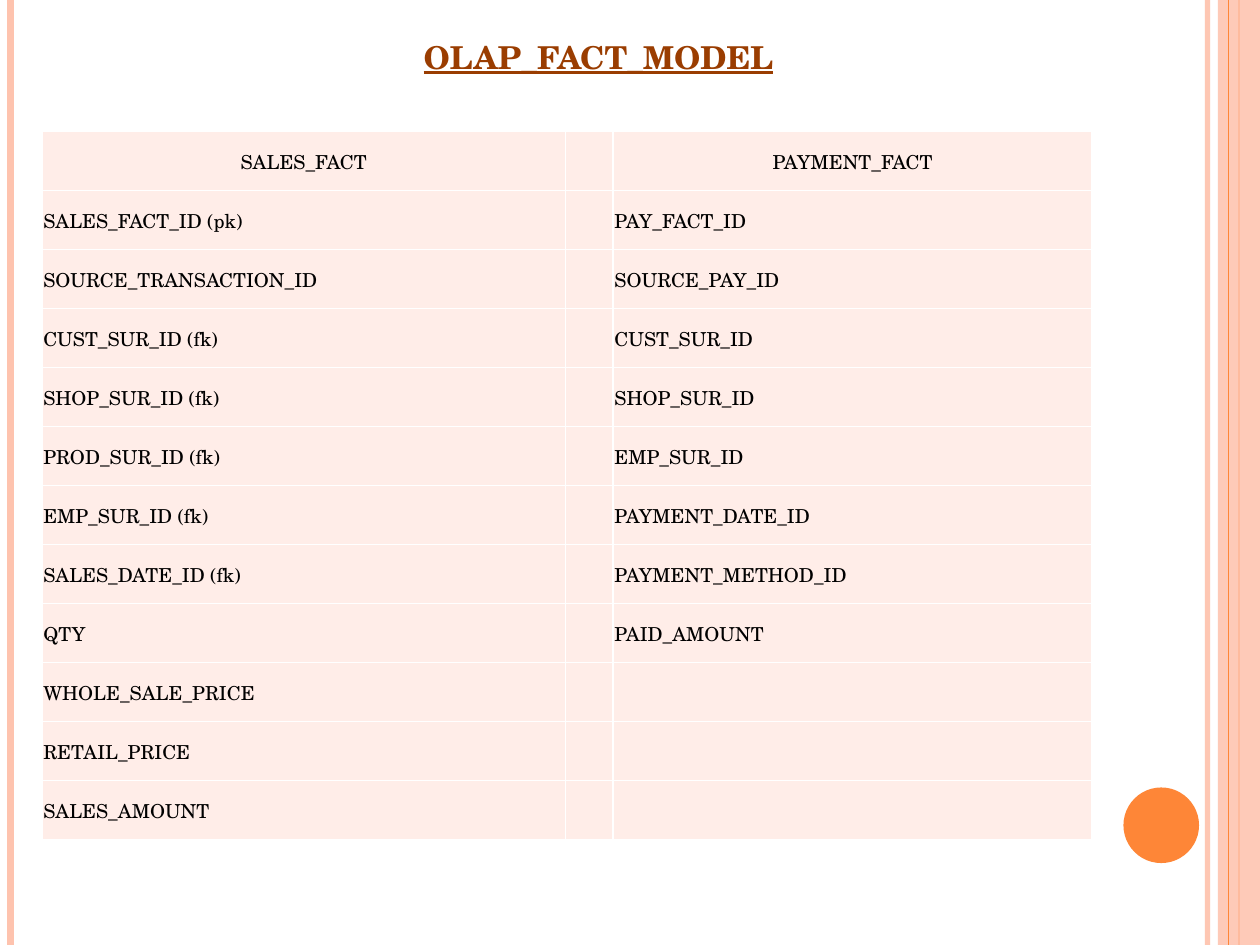
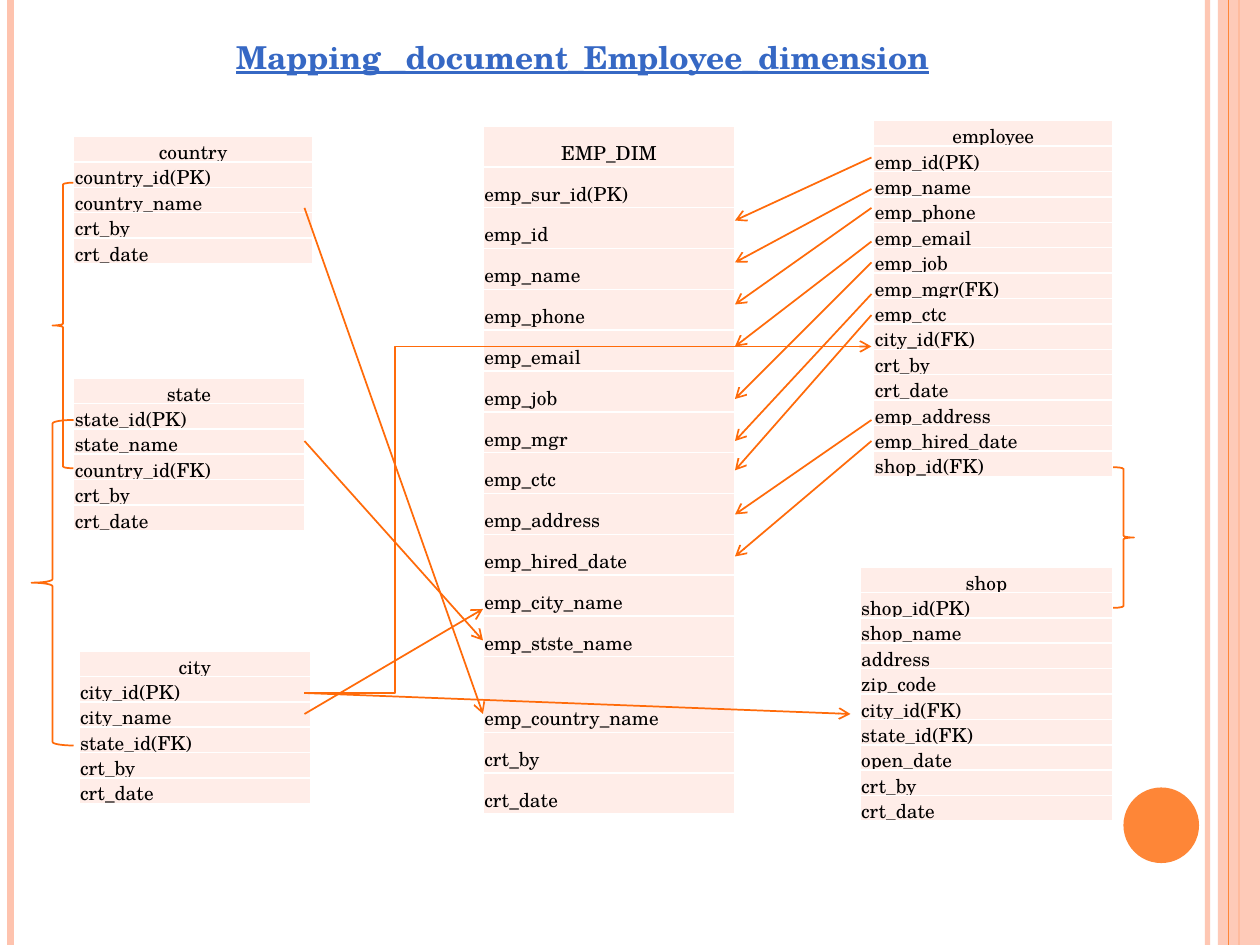
from lxml.etree import SubElement
from pptx import Presentation
from pptx.dml.color import RGBColor
from pptx.enum.shapes import MSO_CONNECTOR, MSO_SHAPE
from pptx.enum.text import MSO_ANCHOR, PP_ALIGN
from pptx.oxml.ns import qn
from pptx.util import Inches, Pt

FONT = "TeX Gyre Schola"
ORANGE, PEACH, LINK = "FE8637", "FEC3AE", "FF6B0A"
CELL, WHITE, BLACK = "FFEDE8", "FFFFFF", "000000"
BROWN, BLUE = "9A3D01", "3668C4"
COLS, ROWS = 120, 90
LINE_ROW, DIM_ROW = 2.42, 3.89

prs = Presentation()
prs.slide_width, prs.slide_height = Inches(10), Inches(7.5)


def units(*values):
    """Turn grid columns or rows into slide lengths."""
    return [int(v * prs.slide_width / COLS) for v in values]


def paint(fmt, color, alpha=None):
    """Give a fill a solid colour, translucent if alpha is a percentage."""
    fmt.solid()
    fmt.fore_color.rgb = RGBColor.from_string(color)
    if alpha:
        for clr in fmt._xPr.iter(qn("a:srgbClr")):
            SubElement(clr, qn("a:alpha"), val=str(alpha * 1000))


def write(tf, text, size=11, color=BLACK, align=PP_ALIGN.LEFT, bold=False, underline=False):
    """Write one formatted paragraph into a text frame."""
    p = tf.paragraphs[0]
    p.alignment = align
    r = p.add_run()
    r.text = text
    f = r.font
    f.name, f.size, f.bold, f.underline = FONT, Pt(size), bold, underline
    f.color.rgb = RGBColor.from_string(color)


def line(s, start, end, color=LINK, width=1, alpha=None, arrow=False, bend=None):
    """Draw a straight line, or an elbow that turns at the share given by bend."""
    kind = MSO_CONNECTOR.STRAIGHT if bend is None else MSO_CONNECTOR.ELBOW
    sp = s.shapes.add_connector(kind, *units(*start, *end))
    paint(sp.line.fill, color, alpha)
    sp.line.width = Pt(width)
    pr = sp._element.spPr
    if arrow:
        SubElement(pr.find(qn("a:ln")), qn("a:tailEnd"), type="arrow")
    if bend is not None:
        geom = pr.find(qn("a:prstGeom"))
        av = geom.find(qn("a:avLst"))
        if av is None:
            av = SubElement(geom, qn("a:avLst"))
        SubElement(av, qn("a:gd"), name="adj1", fmla=f"val {round(bend * 100000)}")
    SubElement(pr, qn("a:effectLst"))


def shape(s, kind, box, fill=None, alpha=None, outline=None):
    """Add a preset shape with a fill, an outline or both."""
    sp = s.shapes.add_shape(kind, *units(*box))
    sp.shadow.inherit = False
    if fill:
        paint(sp.fill, fill, alpha)
    else:
        sp.fill.background()
    if outline:
        paint(sp.line.fill, outline)
        sp.line.width = Pt(1)
    else:
        sp.line.fill.background()


def frame(s, box):
    """Draw the side bands and the disc shared by all slides."""
    x, y, w, h = box

    def rule(col, color, width, alpha=None):
        """Draw one full-height rule at a column."""
        line(s, (x + col, y), (x + col, y + h), color, width, alpha)

    rule(w - 5, PEACH, 3, 93)
    rule(1, PEACH, 4.5)
    rule(w - 2, ORANGE, 1.5)
    shape(s, MSO_SHAPE.RECTANGLE, (x + w - 4, y, 4, h), PEACH, 87)
    rule(w - 3, ORANGE, 0.75)
    shape(s, MSO_SHAPE.OVAL, (x + w - 13, y + h - 15, 7.2, 7.2), ORANGE)


def title(s, box, text, color):
    """Add the underlined slide title."""
    tf = s.shapes.add_textbox(*units(*box)).text_frame
    tf.word_wrap = True
    write(tf, text, 18, color, PP_ALIGN.CENTER, bold=True, underline=True)


def border(cell):
    """Give a cell thin white borders ahead of its fill."""
    pr = cell._tc.get_or_add_tcPr()
    for i, side in enumerate(("lnL", "lnR", "lnT", "lnB")):
        ln = SubElement(pr, qn(f"a:{side}"), w=str(Pt(1)))
        SubElement(SubElement(ln, qn("a:solidFill")), qn("a:srgbClr"), val=WHITE)
        pr.insert(i, ln)


def grid(s, box, rows, widths, heights, anchor):
    """Build a tinted table whose first row is centred."""
    table = s.shapes.add_table(len(rows), len(widths), *units(*box)).table
    table.first_row = table.horz_banding = False
    for col, width in zip(table.columns, units(*widths)):
        col.width = width
    for row, height, texts in zip(table.rows, units(*heights), rows):
        row.height = height
        for cell, text in zip(row.cells, texts):
            border(cell)
            paint(cell.fill, CELL)
            cell.vertical_anchor = anchor
            cell.margin_left = cell.margin_right = cell.margin_top = Inches(0.01)
            cell.margin_bottom = 0
            if text:
                align = PP_ALIGN.CENTER if texts is rows[0] else PP_ALIGN.LEFT
                write(cell.text_frame, text, align=align)


def entity(s, x, y, w, names, row=LINE_ROW, tall=None):
    """List an entity and its fields, with taller rows where tall says so."""
    names = names.split()
    heights = [(tall or {}).get(n, row) for n in names]
    box = (x, y, w, sum(heights))
    grid(s, box, [[n] for n in names], [w], heights, MSO_ANCHOR.BOTTOM)


def links(s, box, pairs, leftward=False):
    """Draw arrows across a gap between row pairs counted from its top."""
    x, y, w, _ = box
    start, end = (x + w, x) if leftward else (x, x + w)
    for a, b in pairs:
        line(s, (start, y + a), (end, y + b), arrow=True)


def new_slide(text, color, box):
    """Start a slide with the shared frame and a title."""
    s = prs.slides.add_slide(prs.slide_layouts[6])
    frame(s, (0, 0, COLS, ROWS))
    title(s, box, text, color)
    return s


def fact_slide():
    """Build the slide that compares the two fact tables."""
    s = new_slide("OLAP_FACT_MODEL", BROWN, (4, 3, 106, 4.8))
    sales = ["SALES_FACT", "SALES_FACT_ID (pk)", "SOURCE_TRANSACTION_ID", "CUST_SUR_ID (fk)",
             "SHOP_SUR_ID (fk)", "PROD_SUR_ID (fk)", "EMP_SUR_ID (fk)", "SALES_DATE_ID (fk)",
             "QTY", "WHOLE_SALE_PRICE", "RETAIL_PRICE", "SALES_AMOUNT"]
    payment = ["PAYMENT_FACT", "PAY_FACT_ID", "SOURCE_PAY_ID", "CUST_SUR_ID", "SHOP_SUR_ID",
               "EMP_SUR_ID", "PAYMENT_DATE_ID", "PAYMENT_METHOD_ID", "PAID_AMOUNT", "", "", ""]
    rows = [(a, "", b) for a, b in zip(sales, payment)]
    box = (4, 12.5, 100, 67.5)
    grid(s, box, rows, [49.85, 4.55, 45.6], [box[3] / len(rows)] * len(rows), MSO_ANCHOR.MIDDLE)


def mapping_slide():
    """Build the slide that maps source entities to the employee dimension."""
    s = new_slide("Mapping _document_Employee_dimension", BLUE, (5, 3, 101, 8.5))
    entity(s, 46, 12, 24,
           "EMP_DIM emp_sur_id(PK) emp_id emp_name emp_phone emp_email emp_job emp_mgr emp_ctc "
           "emp_address emp_hired_date emp_city_name emp_stste_name emp_country_name "
           "crt_by crt_date", DIM_ROW, {"emp_country_name": 7.2})
    entity(s, 7, 13, 22.8, "country country_id(PK) country_name crt_by crt_date")
    entity(s, 7, 36, 22, "state state_id(PK) state_name country_id(FK) crt_by crt_date")
    entity(s, 7.5, 62, 22.1, "city city_id(PK) city_name state_id(FK) crt_by crt_date")
    entity(s, 83.2, 11.5, 22.8,
           "employee emp_id(PK) emp_name emp_phone emp_email emp_job emp_mgr(FK) emp_ctc "
           "city_id(FK) crt_by crt_date emp_address emp_hired_date shop_id(FK)")
    entity(s, 81.9, 54, 24.1,
           "shop shop_id(PK) shop_name address zip_code city_id(FK) state_id(FK) open_date "
           "crt_by crt_date")
    links(s, (70, 12, 13, 41), [(3, 9), (6, 13), (7.8, 17), (11, 21), (13, 26), (16, 30),
                                (18, 32.8), (28, 37), (30, 41)], leftward=True)
    for kind, box in ((MSO_SHAPE.RIGHT_BRACE, (106, 44.5, 2, 13.4)),
                      (MSO_SHAPE.LEFT_BRACE, (5, 17.4, 2, 27.2)),
                      (MSO_SHAPE.LEFT_BRACE, (3, 40, 4, 31))):
        shape(s, kind, box, outline=LINK)
    city_id = (29, 66)
    line(s, city_id, (81, 68), arrow=True)
    line(s, city_id, (83, 33), arrow=True, bend=0.16)
    links(s, (29, 12, 17, 56), [(56, 46), (30, 49), (7.8, 56)])


fact_slide()
mapping_slide()
prs.save("out.pptx")
